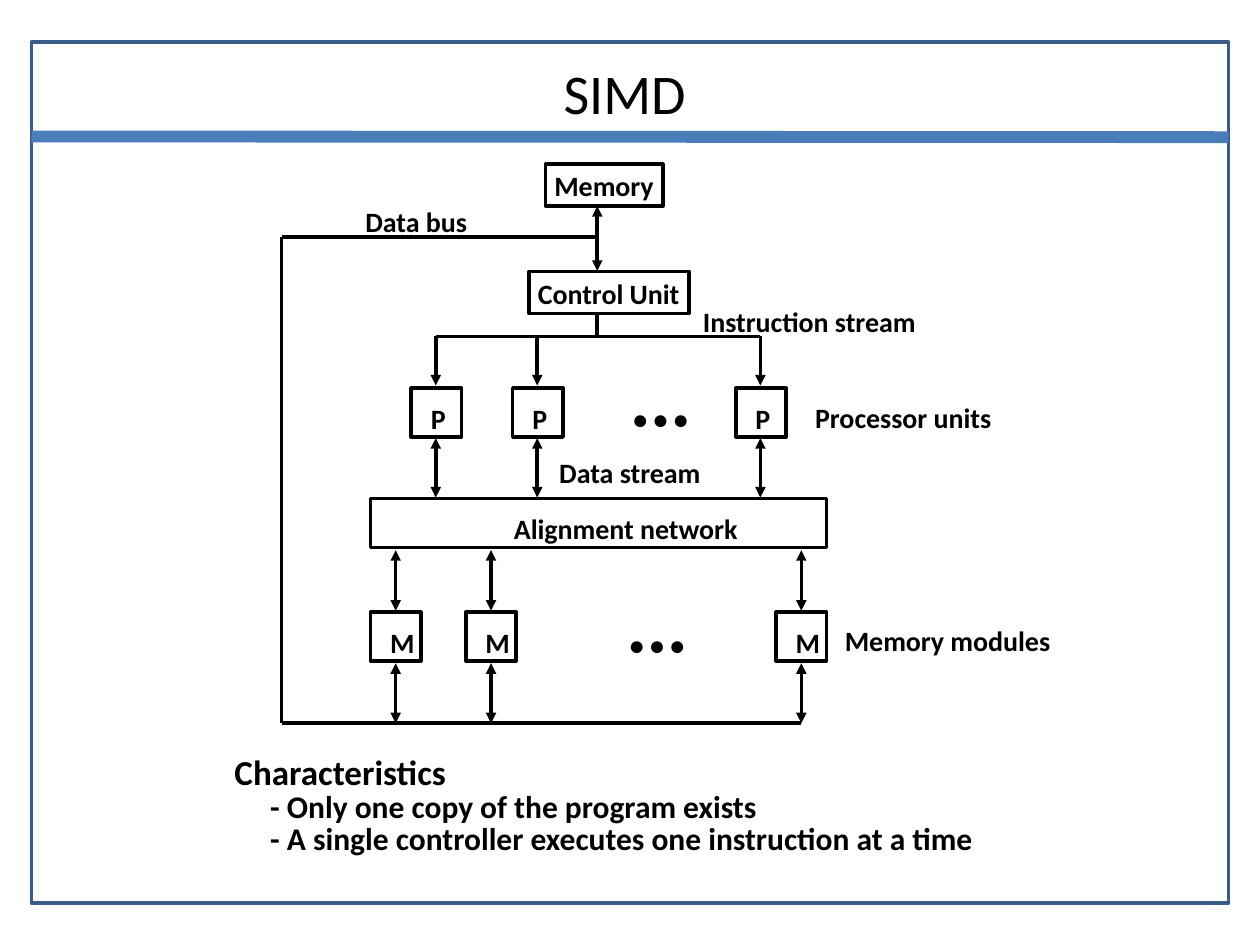
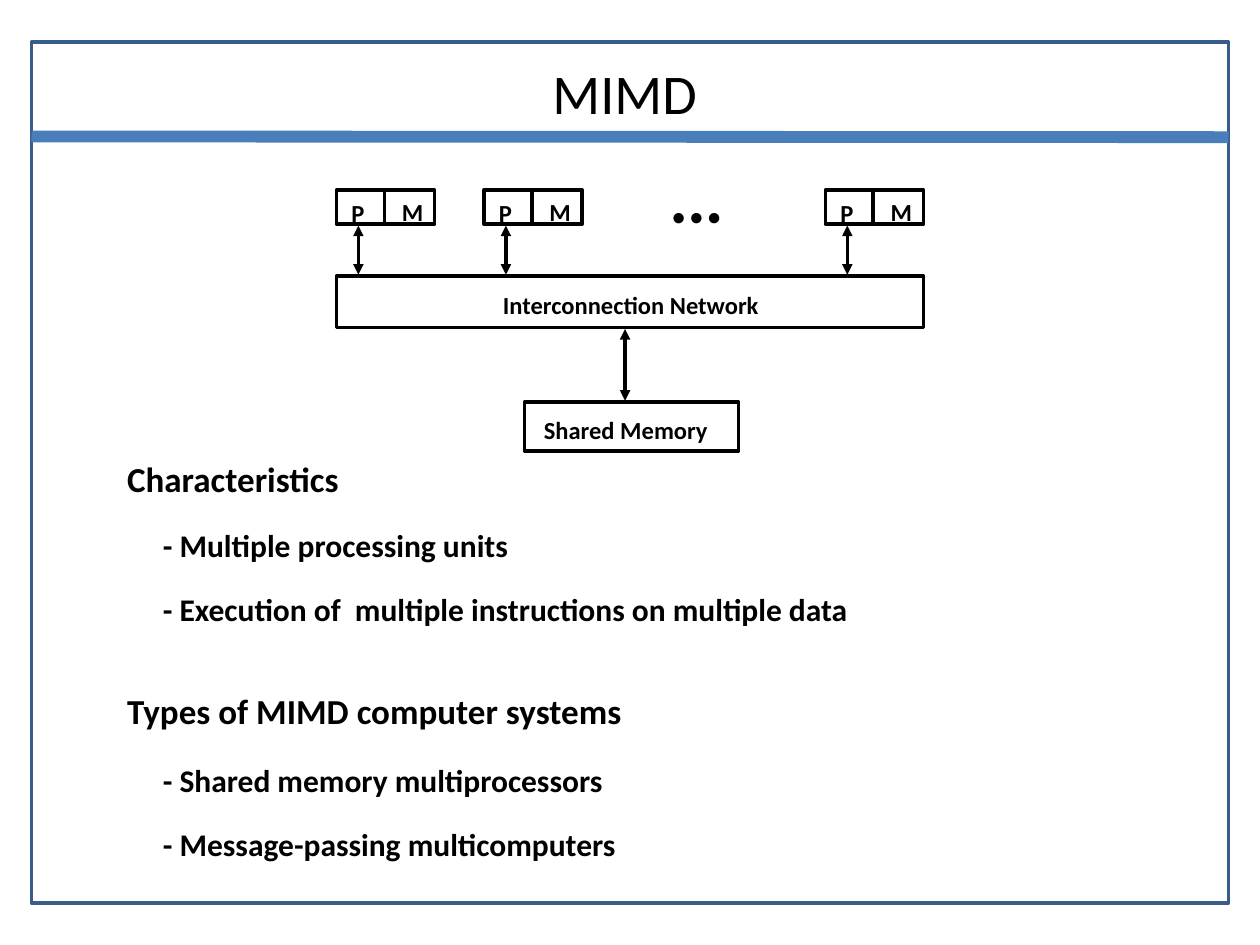
import pptx
import pptx.util
import pptx.dml.color
import pptx.enum.shapes
import pptx.enum.text
from lxml import etree

Pt = pptx.util.Pt
SHAPE = pptx.enum.shapes.MSO_SHAPE.RECTANGLE
STRAIGHT = pptx.enum.shapes.MSO_CONNECTOR.STRAIGHT
ALIGN = pptx.enum.text.PP_ALIGN
NS = "{http://schemas.openxmlformats.org/drawingml/2006/main}"

FONT = "Calibri"
INK = "000000"
FRAME = "385D8A"
BAND = "4A7EBB"
DOTS = "• • •"


def paint(part, color):
    part.rgb = pptx.dml.color.RGBColor.from_string(color)


def write(frame, lines, size=16, bold=True, align=ALIGN.LEFT, lead=None,
          pad=(5, 2.4), wrap=False):
    """Each line is a text, or a tuple of text, size, indent and space before."""
    frame.word_wrap = wrap
    frame.auto_size = pptx.enum.text.MSO_AUTO_SIZE.SHAPE_TO_FIT_TEXT
    frame.margin_left = frame.margin_right = Pt(pad[0])
    frame.margin_top = frame.margin_bottom = Pt(pad[1])
    frame.vertical_anchor = pptx.enum.text.MSO_ANCHOR.TOP
    for i, line in enumerate([lines] if isinstance(lines, str) else lines):
        words, points, indent, gap = (line, size, 0, 0) if isinstance(line, str) else line
        para = frame.add_paragraph() if i else frame.paragraphs[0]
        para.alignment = align
        if lead:
            para.line_spacing = lead
        if gap:
            para.space_before = Pt(gap)
        if indent:
            para._p.get_or_add_pPr().set("marL", str(Pt(indent)))
        run = para.add_run()
        run.text = words
        run.font.name, run.font.size, run.font.bold = FONT, Pt(points), bold
        paint(run.font.color, INK)


def label(slide, x, y, w, h, lines, **style):
    box = slide.shapes.add_textbox(Pt(x), Pt(y), Pt(w), Pt(h))
    write(box.text_frame, lines, **style)


def rect(slide, x, y, w, h, color=INK):
    box = slide.shapes.add_shape(SHAPE, Pt(x), Pt(y), Pt(w), Pt(h))
    box.shadow.inherit = False
    box.fill.background()
    paint(box.line.color, color)
    box.line.width = Pt(2)
    return box


def link(slide, x1, y1, x2, y2, ends="", color=INK, width=2):
    """Draw a line; ends names the arrowheads, such as "head tail"."""
    line = slide.shapes.add_connector(STRAIGHT, Pt(x1), Pt(y1), Pt(x2), Pt(y2))
    paint(line.line.color, color)
    line.line.width = Pt(width)
    for end in ends.split():
        etree.SubElement(line.line._get_or_add_ln(), f"{NS}{end}End", type="triangle")
    etree.SubElement(line._element.spPr, f"{NS}effectLst")


def base(deck, title):
    slide = deck.slides.add_slide(deck.slide_layouts[6])
    rect(slide, 18, 24, 684, 492, FRAME)
    link(slide, 18, 78, 702, 78.4, color=BAND, width=6.75)
    label(slide, 54, 30, 606, 46, title, size=32, bold=False,
          align=ALIGN.CENTER, pad=(7.2, 3.6), wrap=True)
    return slide


def array(slide, left, top):
    """Draw the SIMD diagram with its top left corner at the given point."""
    def join(x1, y1, x2, y2, ends=""):
        link(slide, left + x1, top + y1, left + x2, top + y2, ends)

    def name(x, y, w, text):
        label(slide, left + x, top + y, w, 23, text)

    def unit(x, y, w, text):
        rect(slide, left + x, top + y, 28.8, 28)
        name(x + 6.2, y + 5, w, text)

    axis, bus, floor = 180.3, 41.5, 319.5
    for x, y, w, text in ((150.8, 0, 67, "Memory"), (141.4, 61.4, 91.4, "Control Unit")):
        box = rect(slide, left + x, top + y, w, 24)
        write(box.text_frame, text, lead=1.01)
    join(axis, 24, axis, 61, "head tail")

    cores = (74, 132, 259.5)
    join(axis, 85, axis, 98.5)
    join(cores[0] + 14, 98.5, cores[-1] + 14, 98.5)
    for x in cores:
        mid = x + 14
        join(mid, 98.5, mid, 126.5, "tail")
        unit(x, 128, 18.7, "P")
        join(mid, 156.5, mid, 190.5, "head tail")

    rect(slide, left + 50.7, top + 191, 260.6, 28)
    for x in (50.7, 105.2, 282.5):
        mid = x + 14.4
        join(mid, 220.6, mid, 255.2, "head tail")
        unit(x, 256, 23.8, "M")
        join(mid, 285.2, mid, floor, "head tail")

    join(297, floor, 0, floor)
    join(0, floor, 0, bus)
    join(0, bus, axis, bus)

    for x, y, w, text in (
            (42.8, 20.5, 68.4, "Data bus"),
            (235.7, 78, 132.5, "Instruction stream"),
            (196, 133.5, 42, DOTS),
            (299.8, 132.8, 111, "Processor units"),
            (153.6, 164.2, 91.4, "Data stream"),
            (127.7, 196.2, 138, "Alignment network"),
            (194, 262.4, 42, DOTS),
            (316.8, 260.2, 128, "Memory modules")):
        name(x, y, w, text)


def shared(slide, left, top):
    """Draw the MIMD diagram with its top left corner at the given point."""
    def name(x, y, w, text):
        label(slide, left + x, top + y, w, 21, text, size=14)

    for x in (0, 84.3, 279.4):
        rect(slide, left + x, top + 0.7, 56.2, 19.4)
        split, mid = left + x + 27.4, left + x + 12.6
        link(slide, split, top, split, top + 20.9)
        name(x + 3.6, 2.8, 17.3, "P")
        name(x + 32.4, 2.2, 22.3, "M")
        link(slide, mid, top + 20.9, mid, top + 49, "head tail")
    name(187.2, 4.6, 38, DOTS)

    rect(slide, left, top + 49.7, 335.5, 29.5)
    name(90.2, 55.4, 157, "Interconnection Network")
    link(slide, left + 165, top + 80, left + 165, top + 121, "head tail")
    rect(slide, left + 107.5, top + 121.7, 122.4, 28)
    name(113.6, 127, 103.7, "Shared Memory")


def notes(slide, x, y, w, h, groups, gap=0):
    """Groups are (heading, space before, first item's space, items)."""
    lines = []
    for head, above, first, items in groups:
        lines.append((head, 20, 0, above))
        lines += [("- " + item, 18, 20.4, gap if i else first)
                  for i, item in enumerate(items)]
    label(slide, x, y, w, h, lines, lead=0.85)


def main():
    deck = pptx.Presentation()
    deck.slide_width, deck.slide_height = Pt(720), Pt(540)

    slide = base(deck, "SIMD")
    array(slide, 161, 93.8)
    notes(slide, 129, 430, 434, 61, [
        ("Characteristics", 0, 0, [
            "Only one copy of the program exists",
            "A single controller executes one instruction at a time"])])

    slide = base(deck, "MIMD")
    shared(slide, 192.2, 108)
    notes(slide, 67.7, 263, 422.6, 232.6, [
        ("Characteristics", 0, 18.2, [
            "Multiple processing units",
            "Execution of  multiple instructions on multiple data"]),
        ("Types of MIMD computer systems", 38.6, 20.5, [
            "Shared memory multiprocessors",
            "Message-passing multicomputers"])], gap=18.2)

    deck.save("out.pptx")


if __name__ == "__main__":
    main()
